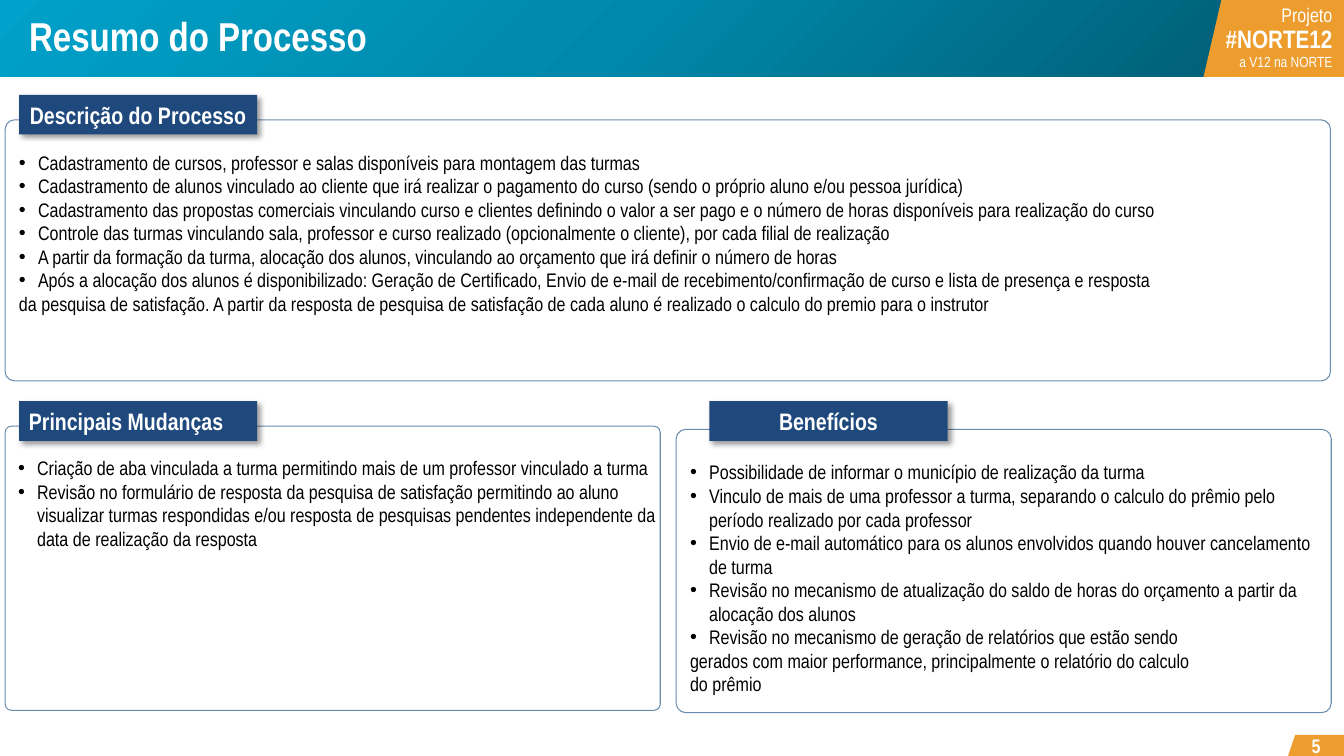
import copy

import pptx
import pptx.dml.color
import pptx.enum.shapes
import pptx.enum.text
import pptx.oxml
import pptx.oxml.ns
import pptx.util

Cm, Pt = pptx.util.Cm, pptx.util.Pt
SHAPE = pptx.enum.shapes.MSO_SHAPE
ALIGN = pptx.enum.text.PP_ALIGN
ANCHOR = pptx.enum.text.MSO_ANCHOR
qn = pptx.oxml.ns.qn

FONT = "Arial Narrow"
COLORS = {"white": "FFFFFF", "black": "000000", "navy": "1F497D", "edge": "698CAF",
          "orange": "ED9C2E", "deep": "005F78", "mid": "0088AA", "light": "00A1CA"}
WIDE, HIGH, BAND = 33.87, 19.05, 1.94

TITLE = "Resumo do Processo"
TAG = [("Projeto", 14, False), ("#NORTE12", 18, True), ("a V12 na NORTE", 10.5, False)]
FLAGS = [
    [(30.33, BAND), (30.78, 0), (WIDE, 0), (WIDE, BAND)],
    [(32.46, HIGH), (32.64, 18.52), (WIDE, 18.52), (WIDE, HIGH)],
]

# "items" carry bullets; "rest" holds the plain lines that follow them
PANELS = [
    {"head": "Principais Mudanças", "spot": (0.48, 10.11), "align": ALIGN.LEFT,
     "box": (0.13, 10.74, 16.51, 7.16), "round": 0.022,
     "items": [
         "Criação de aba vinculada a turma permitindo mais de um professor vinculado a turma",
         "Revisão no formulário de resposta da pesquisa de satisfação permitindo ao aluno "
         "visualizar turmas respondidas e/ou resposta de pesquisas pendentes independente "
         "da data de realização da resposta"],
     "rest": []},
    {"head": "Benefícios", "spot": (17.88, 10.11), "align": ALIGN.CENTER,
     "box": (17.04, 10.82, 16.51, 7.14), "round": 0.034,
     "items": [
         "Possibilidade de informar o município de realização da turma",
         "Vinculo de mais de uma professor a turma, separando o calculo do prêmio pelo "
         "período realizado por cada professor",
         "Envio de e-mail automático para os alunos envolvidos quando houver cancelamento "
         "de turma",
         "Revisão no mecanismo de atualização do saldo de horas do orçamento a partir da "
         "alocação dos alunos",
         "Revisão no mecanismo de geração de relatórios que estão sendo"],
     "rest": [
         "gerados com maior performance, principalmente o relatório do calculo",
         "do prêmio"]},
    {"head": "Descrição do Processo", "spot": (0.48, 2.39), "align": ALIGN.CENTER,
     "box": (0.13, 3.02, 33.4, 6.58), "round": 0.036,
     "items": [
         "Cadastramento de cursos, professor e salas disponíveis para montagem das turmas",
         "Cadastramento de alunos vinculado ao cliente que irá realizar o pagamento do curso "
         "(sendo o próprio aluno e/ou pessoa jurídica)",
         "Cadastramento das propostas comerciais vinculando curso e clientes definindo o valor "
         "a ser pago e o número de horas disponíveis para realização do curso",
         "Controle das turmas vinculando sala, professor e curso realizado (opcionalmente o "
         "cliente), por cada filial de realização",
         "A partir da formação da turma, alocação dos alunos, vinculando ao orçamento que irá "
         "definir o número de horas",
         "Após a alocação dos alunos é disponibilizado: Geração de Certificado, Envio de e-mail "
         "de recebimento/confirmação de curso e lista de presença e resposta"],
     "rest": [
         "da pesquisa de satisfação. A partir da resposta de pesquisa de satisfação de cada "
         "aluno é realizado o calculo do premio para o instrutor"]},
]


def rgb(name):
    return pptx.dml.color.RGBColor.from_string(COLORS[name])


def lengths(*sizes):
    return [Cm(size) for size in sizes]


def write(para, text, size, color, bold=False, align=ALIGN.LEFT):
    para.text = text
    para.alignment = align
    for run in para.runs:
        font = run.font
        font.name, font.size, font.bold = FONT, Pt(size), bold
        font.color.rgb = rgb(color)


def paint(shape, color):
    shape.shadow.inherit = False
    shape.fill.solid()
    shape.fill.fore_color.rgb = rgb(color)
    shape.line.fill.background()


def textbox(shapes, *box):
    frame = shapes.add_textbox(*lengths(*box)).text_frame
    frame.word_wrap = True
    frame.vertical_anchor = ANCHOR.MIDDLE
    return frame


def add_bar(shapes):
    bar = shapes.add_shape(SHAPE.RECTANGLE, *lengths(0, 0, 31.19, BAND))
    bar.shadow.inherit = False
    bar.line.fill.background()
    bar.fill.gradient()
    bar.fill.gradient_angle = 135
    stops = bar._element.find(".//" + qn("a:gsLst"))
    stops.append(copy.deepcopy(stops[0]))
    shades = [(0, "deep"), (0.5, "mid"), (1, "light")]
    for stop, (place, color) in zip(bar.fill.gradient_stops, shades):
        stop.position = place
        stop.color.rgb = rgb(color)


def add_flag(shapes, points):
    spots = [lengths(*point) for point in points]
    form = shapes.build_freeform(*spots[0])
    form.add_line_segments(spots[1:], close=True)
    paint(form.convert_to_shape(), "orange")


def add_bullet(para):
    props = para._p.get_or_add_pPr()
    props.set("marL", str(Cm(0.48)))
    props.set("indent", str(-Cm(0.48)))
    props.append(pptx.oxml.parse_xml(
        f'<a:buFont {pptx.oxml.ns.nsdecls("a")} typeface="Arial"/>'))
    props.append(pptx.oxml.parse_xml(
        f'<a:buChar {pptx.oxml.ns.nsdecls("a")} char="•"/>'))


def add_shadow(shape):
    shape._element.spPr.find(qn("a:effectLst")).append(pptx.oxml.parse_xml(
        f'<a:outerShdw {pptx.oxml.ns.nsdecls("a")} blurRad="{Pt(4)}" dist="{Pt(3)}" '
        f'dir="2700000" algn="tl" rotWithShape="0"><a:srgbClr val="{COLORS["black"]}">'
        '<a:alpha val="40000"/></a:srgbClr></a:outerShdw>'))


def add_panel(shapes, panel):
    box = shapes.add_shape(SHAPE.ROUNDED_RECTANGLE, *lengths(*panel["box"]))
    box.adjustments[0] = panel["round"]
    box.shadow.inherit = False
    box.fill.background()
    box.line.color.rgb = rgb("edge")
    box.line.width = Pt(0.75)
    frame = box.text_frame
    frame.word_wrap = True
    frame.vertical_anchor = ANCHOR.TOP
    (frame.margin_left, frame.margin_top,
     frame.margin_right, frame.margin_bottom) = lengths(0.28, 0.71, 0.05, 0.03)
    lines = panel["items"] + panel["rest"]
    frame.text = "\n".join(lines)
    for row, (para, line) in enumerate(zip(frame.paragraphs, lines)):
        if row < len(panel["items"]):
            add_bullet(para)
        write(para, line, 14, "black")

    head = shapes.add_shape(SHAPE.RECTANGLE, *lengths(*panel["spot"], 6, 1))
    paint(head, "navy")
    add_shadow(head)
    head.text_frame.word_wrap = True
    head.text_frame.vertical_anchor = ANCHOR.MIDDLE
    write(head.text_frame.paragraphs[0], panel["head"], 17, "white", True, panel["align"])


def main():
    deck = pptx.Presentation()
    deck.slide_width, deck.slide_height = lengths(WIDE, HIGH)
    slide = deck.slides.add_slide(deck.slide_layouts[5])
    shapes = slide.shapes

    add_bar(shapes)
    for points in FLAGS:
        add_flag(shapes, points)

    frame = textbox(shapes, 29, 0, 4.83, 1.92)
    frame.text = "\n".join(text for text, size, bold in TAG)
    for para, (text, size, bold) in zip(frame.paragraphs, TAG):
        write(para, text, size, "white", bold, ALIGN.RIGHT)
        para.line_spacing = 0.9

    title = shapes.title
    title.left, title.top, title.width, title.height = lengths(0.48, 0.33, 27.6, 1.3)
    title.text_frame.vertical_anchor = ANCHOR.MIDDLE
    write(title.text_frame.paragraphs[0], TITLE, 28.8, "white", True)
    title.text_frame.paragraphs[0].line_spacing = 0.9
    shapes._spTree.append(title._element)  # bring it in front of the bar

    number = textbox(shapes, 32.46, 18.29, 1.41, 1.02)
    number.margin_left = number.margin_right = 0
    write(number.paragraphs[0], "5", 14, "white", True, ALIGN.CENTER)

    for panel in PANELS:
        add_panel(shapes, panel)
    deck.save("out.pptx")


if __name__ == "__main__":
    main()
